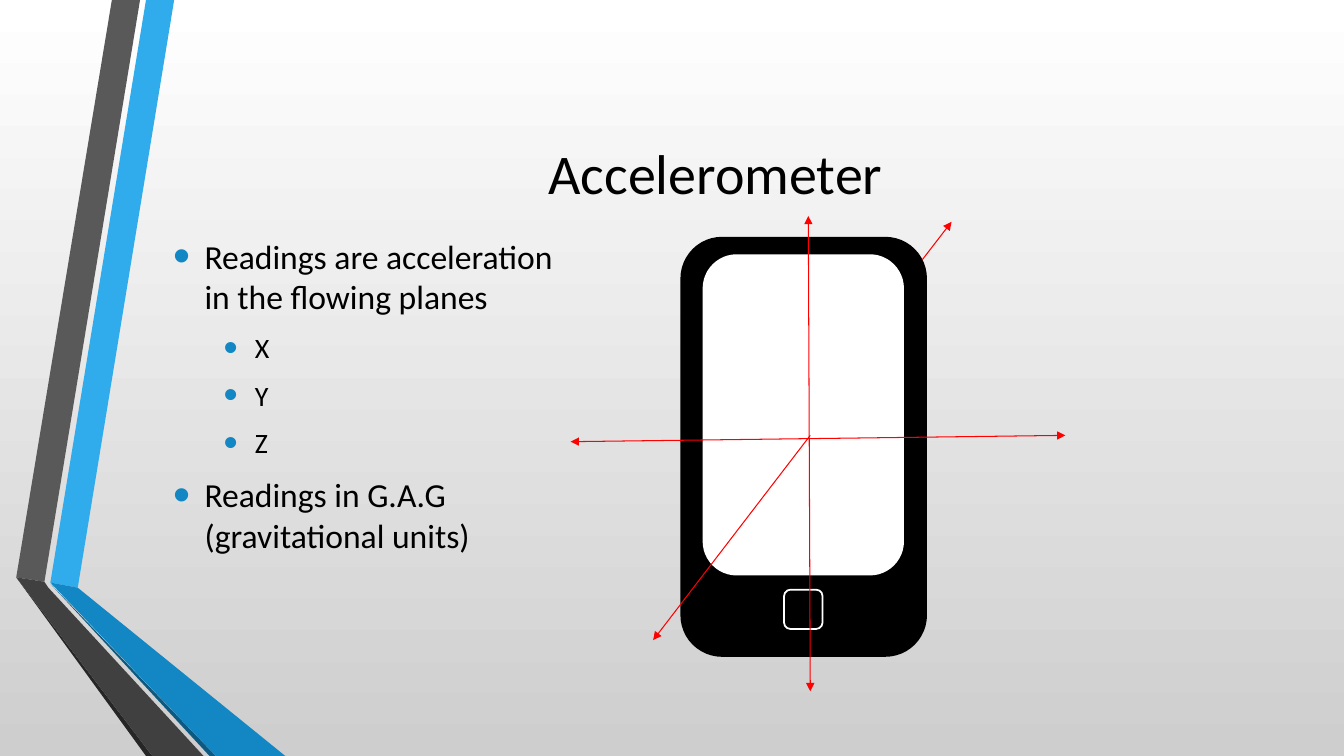
from dataclasses import dataclass

from lxml.etree import SubElement
from pptx import Presentation
from pptx.dml.color import RGBColor
from pptx.enum.shapes import MSO_CONNECTOR, MSO_SHAPE
from pptx.enum.text import MSO_ANCHOR, MSO_AUTO_SIZE, PP_ALIGN
from pptx.oxml.ns import qn
from pptx.util import Cm, Pt

BLACK = RGBColor(0x00, 0x00, 0x00)
WHITE = RGBColor(0xFF, 0xFF, 0xFF)
SILVER = RGBColor(0xCE, 0xCE, 0xCE)
RED = RGBColor(0xFF, 0x00, 0x00)
SKY = RGBColor(0x30, 0xAC, 0xEC)
BLUE = RGBColor(0x12, 0x87, 0xC3)
NAVY = RGBColor(0x0C, 0x5A, 0x82)
GRAY = RGBColor(0x59, 0x59, 0x59)
DARK = RGBColor(0x40, 0x40, 0x40)
COAL = RGBColor(0x26, 0x26, 0x26)
FONT = "Calibri"
WIDE, HIGH = 33.87, 19.05


@dataclass
class Band:
    color: RGBColor
    points: list[tuple[float, float]]


@dataclass
class Part:
    box: tuple[float, float, float, float]
    fill: RGBColor | None
    line: RGBColor


@dataclass
class Arrow:
    start: tuple[float, float]
    end: tuple[float, float]
    both: bool = False


@dataclass
class Item:
    text: str
    level: int = 0


BANDS = [
    Band(SKY, [(1.27, 14.68), (1.96, 14.81), (4.39, 0), (3.68, 0)]),
    Band(GRAY, [(3.53, 0), (2.82, 0), (0.41, 14.55), (1.12, 14.66)]),
    Band(COAL, [(0.41, 14.55), (3.68, HIGH), (3.84, HIGH)]),
    Band(NAVY, [(1.27, 14.71), (5.28, HIGH), (5.44, HIGH)]),
    Band(BLUE, [(1.27, 14.68), (5.44, HIGH), (7.19, HIGH), (1.96, 14.81)]),
    Band(DARK, [(5.13, HIGH), (1.22, 14.81), (1.12, 14.66), (0.41, 14.55),
                (3.84, HIGH)]),
]
PHONE = [
    Part((17.17, 5.99, 6.17, 10.54), BLACK, BLACK),
    Part((19.76, 14.86, 0.97, 0.99), None, WHITE),
    Part((17.73, 6.43, 5.03, 8.05), WHITE, WHITE),
]
ARROWS = [
    Arrow((20.37, 5.44), (20.42, 17.42), True),
    Arrow((26.85, 10.97), (14.38, 11.13), True),
    Arrow((20.42, 10.97), (16.46, 16.13)),
    Arrow((23.24, 6.55), (23.98, 5.59)),
]
ITEMS = [
    Item("Readings are acceleration in the flowing planes"),
    Item("X", 1),
    Item("Y", 1),
    Item("Z", 1),
    Item("Readings in G.A.G (gravitational units)"),
]


def place(shape, left: float, top: float, width: float, height: float) -> None:
    shape.left, shape.top = Cm(left), Cm(top)
    shape.width, shape.height = Cm(width), Cm(height)


def paint(slide) -> None:
    fill = slide.background.fill
    fill.gradient()
    fill.gradient_angle = 270
    for stop, color, spot in zip(fill.gradient_stops, (WHITE, SILVER), (0, 1)):
        stop.color.rgb = color
        stop.position = spot


def draw_band(shapes, band: Band) -> None:
    first, *rest = [(Cm(x), Cm(y)) for x, y in band.points]
    form = shapes.build_freeform(*first)
    form.add_line_segments(rest)
    shape = form.convert_to_shape()
    shape.shadow.inherit = False
    shape.fill.solid()
    shape.fill.fore_color.rgb = band.color
    shape.line.fill.background()


def draw_part(shapes, part: Part) -> None:
    shape = shapes.add_shape(MSO_SHAPE.ROUNDED_RECTANGLE,
                             *[Cm(n) for n in part.box])
    shape.shadow.inherit = False
    if part.fill is None:
        shape.fill.background()
    else:
        shape.fill.solid()
        shape.fill.fore_color.rgb = part.fill
    shape.line.color.rgb = part.line
    shape.line.width = Pt(1.25)


def draw_arrow(shapes, arrow: Arrow) -> None:
    ends = [Cm(n) for n in arrow.start + arrow.end]
    line = shapes.add_connector(MSO_CONNECTOR.STRAIGHT, *ends)
    line.line.color.rgb = RED
    line.line.width = Pt(0.75)
    props = line._element.spPr
    tags = ("a:headEnd", "a:tailEnd") if arrow.both else ("a:tailEnd",)
    for tag in tags:
        SubElement(props.find(qn("a:ln")), qn(tag), type="triangle")
    SubElement(props, qn("a:effectLst"))


def write_title(title) -> None:
    place(title, 4.11, 1.9, 27.84, 4.88)
    frame = title.text_frame
    frame.text = "Accelerometer"
    frame.vertical_anchor = MSO_ANCHOR.MIDDLE
    head = frame.paragraphs[0]
    head.alignment = PP_ALIGN.CENTER
    head.font.size = Pt(40)
    head.font.name = FONT
    head.font.color.rgb = BLACK


def add_bullet(para, level: int) -> None:
    props = para._p.get_or_add_pPr()
    props.set("marL", str(Cm(0.79 + 1.27 * level)))
    props.set("indent", str(Cm(-0.79)))
    tint = SubElement(props, qn("a:buClr"))
    SubElement(tint, qn("a:srgbClr"), val=str(BLUE))
    SubElement(props, qn("a:buSzPct"), val="145000")
    SubElement(props, qn("a:buFont"), typeface="Arial")
    SubElement(props, qn("a:buChar"), char="•")


def write_list(body) -> None:
    place(body, 4.11, 5.94, 10.26, 8.69)
    frame = body.text_frame
    frame.text = "\n".join(item.text for item in ITEMS)
    frame.auto_size = MSO_AUTO_SIZE.NONE
    frame.vertical_anchor = MSO_ANCHOR.TOP
    frame.margin_top = 0
    for spot, (para, item) in enumerate(zip(frame.paragraphs, ITEMS)):
        size = 20 if item.level else 24
        add_bullet(para, item.level)
        para.level = item.level
        para.space_before = Pt(size * 0.2 if spot else 0)
        para.space_after = Pt(6)
        para.font.size = Pt(size)
        para.font.name = FONT
        para.font.color.rgb = BLACK


def main() -> None:
    deck = Presentation()
    deck.slide_width, deck.slide_height = Cm(WIDE), Cm(HIGH)
    slide = deck.slides.add_slide(deck.slide_layouts[1])
    shapes = slide.shapes
    paint(slide)
    write_title(shapes.title)
    write_list(slide.placeholders[1])
    side = shapes.add_group_shape()
    for band in BANDS:
        draw_band(side.shapes, band)
    phone = shapes.add_group_shape()
    for part in PHONE:
        draw_part(phone.shapes, part)
    for arrow in ARROWS:
        draw_arrow(shapes, arrow)
    deck.save("out.pptx")


if __name__ == "__main__":
    main()
